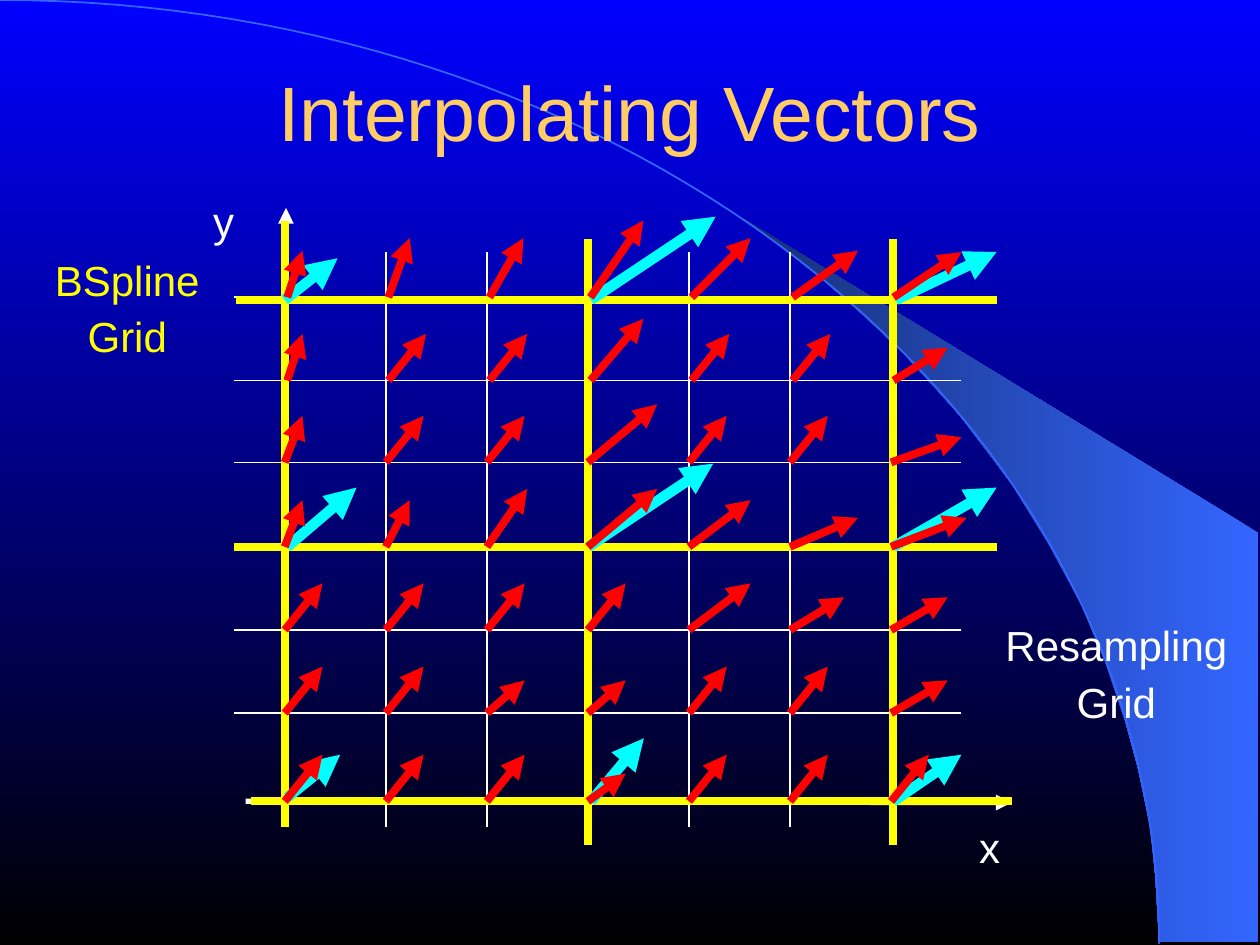
from math import cos, pi, sin

from lxml.etree import SubElement
from pptx import Presentation
from pptx.dml.color import RGBColor
from pptx.enum.shapes import MSO_CONNECTOR
from pptx.enum.text import MSO_ANCHOR, MSO_AUTO_SIZE, PP_ALIGN
from pptx.oxml.ns import qn
from pptx.util import Inches, Pt

WHITE, YELLOW, CYAN, RED = "FFFFFF", "FFFF00", "00FFFF", "FF0000"
GOLD, SKY, NAVY = "FFCC66", "3366FF", "172F75"

# text lines, (left, top, width, height), colour, line spacing
LABELS = [
    (["y"], (1.59, 1.58, 0.37, 0.42), WHITE, 0.8),
    (["x"], (7.67, 6.55, 0.37, 0.42), WHITE, 0.8),
    (["BSpline", "Grid"], (0.24, 2.11, 1.54, 0.79), YELLOW, 0.6),
    (["Resampling", "Grid"], (7.87, 5.01, 1.98, 0.79), WHITE, 0.6),
]

BEAM = [
    (9.2, 7.48), (9.99, 7.48), (9.99, 4.23), (5.89, 1.73), (6.24, 1.99),
    (6.53, 2.22), (6.85, 2.5), (7.16, 2.79), (7.62, 3.3), (8.03, 3.84),
    (8.32, 4.31), (8.58, 4.79), (8.78, 5.27), (8.93, 5.72), (9.03, 6.09),
    (9.13, 6.56), (9.17, 6.96),
]
ARC_RADII = (9.2, 7.49)
ARC_STEPS = 62

COLUMNS = [2.26 + 0.802 * i for i in range(7)]
ROWS = [2.36, 3.02, 3.67, 4.34, 5, 5.66, 6.36]

AXES = [((2.26, 6.55), (2.27, 1.65)), ((1.95, 6.36), (8.03, 6.37))]
FINE_GRID = [((1.86, y), (7.63, y)) for y in reversed(ROWS[:-1])]
FINE_GRID += [((x, 2), (x, 6.56)) for x in COLUMNS[1:]]
COARSE_GRID = [((x, top), (x, top + 4.81))
               for x, top in [(2.26, 1.75), (4.67, 1.9), (7.09, 1.9)]]
COARSE_GRID += [((left, y), (right, y)) for left, right, y in
                [(1.99, 8.03, 6.36), (1.86, 7.91, 4.34), (1.87, 7.91, 2.38)]]

# start and tip of each vector on the coarse grid
COARSE_VECTORS = [
    ((4.67, 4.34), (5.66, 3.68)), ((7.09, 4.34), (7.91, 3.87)),
    ((4.69, 2.38), (5.68, 1.72)), ((4.69, 6.36), (5.11, 5.86)),
    ((7.09, 6.36), (7.63, 5.99)), ((7.11, 2.38), (7.91, 2)),
    ((2.28, 4.34), (2.83, 3.87)), ((2.28, 6.33), (2.7, 5.99)),
    ((2.26, 2.38), (2.68, 2.05)),
]

# (run, rise) of each resampled vector, one list per row, left to right
USUAL = (0.3, 0.37)
FINE_VECTORS = [
    [(0.12, 0.37), (0.17, 0.47), (0.27, 0.47), (0.42, 0.61), (0.47, 0.47),
     (0.52, 0.37), (0.54, 0.36)],
    [(0.12, 0.37), USUAL, USUAL, (0.42, 0.49), USUAL, USUAL, (0.43, 0.26)],
    [(0.14, 0.37), USUAL, USUAL, (0.55, 0.46), USUAL, USUAL, (0.56, 0.2)],
    [(0.14, 0.37), (0.19, 0.37), (0.32, 0.46), (0.55, 0.46), (0.49, 0.37),
     (0.54, 0.23), (0.6, 0.23)],
    [USUAL, USUAL, USUAL, USUAL, (0.49, 0.37), (0.43, 0.26), (0.45, 0.26)],
    [USUAL, USUAL, (0.3, 0.26), (0.3, 0.26), USUAL, USUAL, (0.45, 0.26)],
    [USUAL, USUAL, USUAL, (0.3, 0.22), USUAL, USUAL, USUAL],
]


def rgb(color):
    return RGBColor.from_string(color)


def set_gradient(fill, colors, angle):
    fill.gradient()
    fill.gradient_angle = angle
    for stop, color in zip(fill.gradient_stops, colors):
        stop.color.rgb = rgb(color)


def add_outline(slide, points, close):
    points = [(Inches(x), Inches(y)) for x, y in points]
    builder = slide.shapes.build_freeform(*points[0])
    builder.add_line_segments(points[1:], close=close)
    shape = builder.convert_to_shape()
    shape.shadow.inherit = False
    return shape


def add_lines(shapes, segments, color, width, arrow=False):
    for start, end in segments:
        line = shapes.add_connector(
            MSO_CONNECTOR.STRAIGHT, *(Inches(v) for v in start + end))
        line.line.color.rgb = rgb(color)
        line.line.width = Pt(width)
        if arrow:
            SubElement(line.line._get_or_add_ln(), qn("a:tailEnd"), type="triangle")
        SubElement(line._element.spPr, qn("a:effectLst"))


def add_text(slide, lines, box, color, size, spacing=1.0):
    shape = slide.shapes.add_textbox(*(Inches(v) for v in box))
    frame = shape.text_frame
    frame.text = "\n".join(lines)
    for i, paragraph in enumerate(frame.paragraphs):
        paragraph.alignment = PP_ALIGN.CENTER
        paragraph.line_spacing = spacing
        if i:
            paragraph.space_before = Pt(15)
        for run in paragraph.runs:
            run.font.name = "Arial"
            run.font.size = Pt(size)
            run.font.color.rgb = rgb(color)
    return frame


def add_backdrop(slide):
    set_gradient(slide.background.fill, ["0000FF", "000000"], 270)
    beam = add_outline(slide, BEAM, close=True)
    set_gradient(beam.fill, [SKY, NAVY], 180)
    beam.line.fill.background()

    rx, ry = ARC_RADII
    angles = [pi / 2 * i / ARC_STEPS for i in range(ARC_STEPS + 1)]
    arc = add_outline(
        slide, [(rx * cos(a), ry * (1 - sin(a))) for a in angles], close=False)
    arc.fill.background()
    arc.line.color.rgb = rgb(SKY)
    arc.line.width = Pt(1)


def resampled_vectors():
    for i, (y, vectors) in enumerate(zip(ROWS, FINE_VECTORS)):
        shift = 0.02 if i < 2 else 0
        for x, (run, rise) in zip(COLUMNS, vectors):
            yield (x + shift, y), (x + shift + run, y - rise)


def main():
    presentation = Presentation()
    presentation.slide_width, presentation.slide_height = Inches(10), Inches(7.5)
    slide = presentation.slides.add_slide(presentation.slide_layouts[6])
    add_backdrop(slide)

    title = add_text(
        slide, ["Interpolating Vectors"], (0.75, 0.12, 8.5, 1.51), GOLD, 44)
    title.word_wrap = True
    title.vertical_anchor = MSO_ANCHOR.MIDDLE
    title.margin_left = title.margin_right = 0
    title.margin_top = title.margin_bottom = 0

    fine_grid = slide.shapes.add_group_shape().shapes
    add_lines(fine_grid, AXES, WHITE, 3, arrow=True)
    add_lines(fine_grid, FINE_GRID, WHITE, 1)
    coarse_grid = slide.shapes.add_group_shape().shapes
    add_lines(coarse_grid, COARSE_GRID, YELLOW, 4.5)
    coarse_vectors = slide.shapes.add_group_shape().shapes
    add_lines(coarse_vectors, COARSE_VECTORS, CYAN, 6, arrow=True)

    for lines, box, color, spacing in LABELS:
        label = add_text(slide, lines, box, color, 24, spacing)
        label.word_wrap = False
        label.auto_size = MSO_AUTO_SIZE.SHAPE_TO_FIT_TEXT

    fine_vectors = slide.shapes.add_group_shape().shapes
    add_lines(fine_vectors, resampled_vectors(), RED, 4.5, arrow=True)
    presentation.save("out.pptx")


if __name__ == "__main__":
    main()
